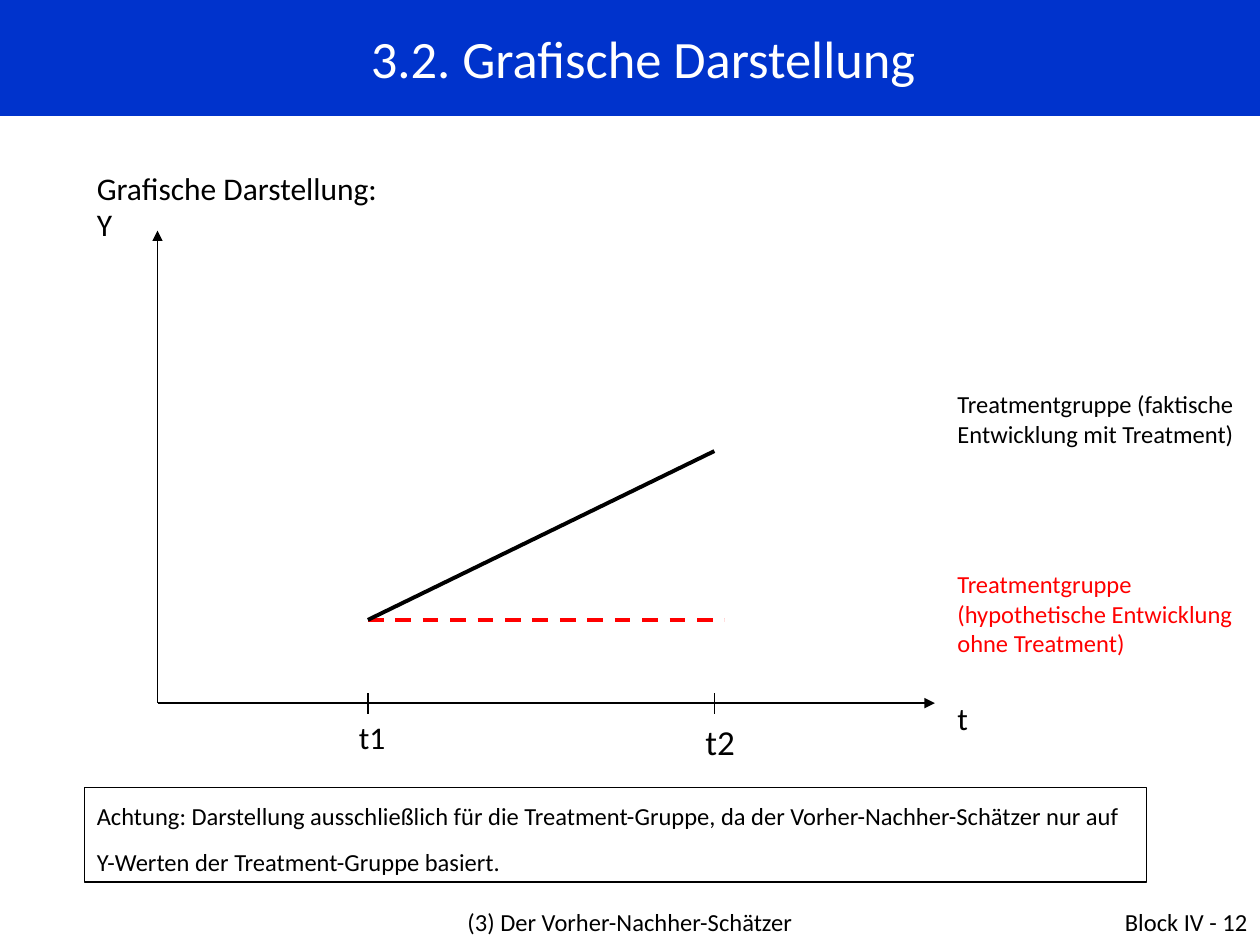
from dataclasses import dataclass

from lxml.etree import SubElement
from pptx import Presentation
from pptx.dml.color import RGBColor
from pptx.enum.dml import MSO_LINE
from pptx.enum.shapes import MSO_CONNECTOR, MSO_SHAPE
from pptx.enum.text import MSO_ANCHOR, PP_ALIGN
from pptx.oxml.ns import qn
from pptx.util import Inches, Pt

FONT = "Calibri"
COLORS = {"black": "000000", "white": "FFFFFF", "blue": "0033CC", "red": "FF0000"}

ORIGIN_X, ORIGIN_Y = 1.25, 5.58
TIME_1, TIME_2 = 2.92, 5.67
START_VALUE, END_VALUE = 4.92, 3.58
LEGEND_LEFT = 7.5


@dataclass
class Label:
    text: str
    left: float
    top: float
    width: float
    height: float
    size: float = 18
    color: str = "black"
    align: PP_ALIGN = PP_ALIGN.LEFT
    line_spacing: float = 1.0


@dataclass
class Line:
    start: tuple[float, float]
    end: tuple[float, float]
    color: str = "black"
    width: float = 0.75
    arrow: bool = False
    dashed: bool = False


def rgb(name: str) -> RGBColor:
    return RGBColor.from_string(COLORS[name])


def add_run(paragraph, text: str, size: float, color: str) -> None:
    run = paragraph.add_run()
    run.text = text
    run.font.name = FONT
    run.font.size = Pt(size)
    run.font.color.rgb = rgb(color)


def add_label(slide, label: Label) -> None:
    shape = slide.shapes.add_textbox(
        Inches(label.left), Inches(label.top), Inches(label.width), Inches(label.height)
    )
    shape.text_frame.word_wrap = True
    paragraph = shape.text_frame.paragraphs[0]
    paragraph.alignment = label.align
    paragraph.line_spacing = label.line_spacing
    add_run(paragraph, label.text, label.size, label.color)


def add_line(slide, line: Line) -> None:
    connector = slide.shapes.add_connector(
        MSO_CONNECTOR.STRAIGHT,
        *(Inches(value) for value in (*line.start, *line.end)),
    )
    connector.line.color.rgb = rgb(line.color)
    connector.line.width = Pt(line.width)
    if line.dashed:
        connector.line.dash_style = MSO_LINE.DASH
    properties = connector._element.spPr
    if line.arrow:
        SubElement(properties.find(qn("a:ln")), qn("a:tailEnd"), type="triangle")
    SubElement(properties, qn("a:effectLst"))


def add_rectangle(slide, left: float, top: float, width: float, height: float):
    shape = slide.shapes.add_shape(
        MSO_SHAPE.RECTANGLE, Inches(left), Inches(top), Inches(width), Inches(height)
    )
    shape.shadow.inherit = False
    shape.text_frame.word_wrap = True
    return shape


def add_title(slide) -> None:
    banner = add_rectangle(slide, 0, 0, 10, 0.92)
    banner.fill.solid()
    banner.fill.fore_color.rgb = rgb("blue")
    banner.line.fill.background()
    banner.text_frame.margin_left = Inches(0.31)
    banner.text_frame.vertical_anchor = MSO_ANCHOR.MIDDLE
    paragraph = banner.text_frame.paragraphs[0]
    paragraph.alignment = PP_ALIGN.CENTER
    add_run(paragraph, "3.2. Grafische Darstellung", 30, "white")


def add_note(slide) -> None:
    note = add_rectangle(slide, 0.67, 6.25, 8.43, 0.75)
    note.fill.background()
    note.line.color.rgb = rgb("black")
    note.line.width = Pt(0.75)
    note.text_frame.vertical_anchor = MSO_ANCHOR.TOP
    paragraph = note.text_frame.paragraphs[0]
    paragraph.alignment = PP_ALIGN.LEFT
    paragraph.line_spacing = 1.25
    text = (
        "Achtung: Darstellung ausschließlich für die Treatment-Gruppe, da der "
        "Vorher-Nachher-Schätzer nur auf Y-Werten der Treatment-Gruppe basiert."
    )
    add_run(paragraph, text, 14, "black")
    add_run(paragraph, " ", 18, "black")


def main() -> None:
    presentation = Presentation()
    presentation.slide_width = Inches(10)
    presentation.slide_height = Inches(7.5)
    slide = presentation.slides.add_slide(presentation.slide_layouts[6])

    origin = (ORIGIN_X, ORIGIN_Y)
    start = (TIME_1, START_VALUE)
    lines = [
        Line(origin, (7.42, ORIGIN_Y), arrow=True),
        Line(origin, (ORIGIN_X, 1.83), arrow=True),
        *(Line((time, 5.5), (time, 5.67)) for time in (TIME_1, TIME_2)),
        Line(start, (5.75, START_VALUE), "red", 2.25, dashed=True),
        Line(start, (TIME_2, END_VALUE), width=2.25),
    ]
    labels = [
        Label("Grafische Darstellung:", 0.67, 1.22, 8.43, 0.48, line_spacing=1.25),
        Label("Y", 0.67, 1.58, 0.5, 0.4),
        Label("t", LEGEND_LEFT, 5.5, 0.5, 0.4),
        Label("t1", 2.75, 5.65, 0.5, 0.4),
        Label("t2", 5.5, 5.67, 0.5, 0.43, 20),
        Label("Treatmentgruppe (hypothetische Entwicklung ohne Treatment)",
              LEGEND_LEFT, 4.47, 2.47, 0.81, 14, "red"),
        Label("Treatmentgruppe (faktische Entwicklung mit Treatment)",
              LEGEND_LEFT, 3.04, 2.42, 0.57, 14),
        Label("Block IV - 12", 7.67, 7.15, 2.33, 0.52, 14, align=PP_ALIGN.RIGHT),
        Label("(3) Der Vorher-Nachher-Schätzer", 2.25, 7.15, 5.5, 0.52, 14,
              align=PP_ALIGN.CENTER),
    ]

    add_title(slide)
    for line in lines:
        add_line(slide, line)
    add_note(slide)
    for label in labels:
        add_label(slide, label)
    presentation.save("out.pptx")


if __name__ == "__main__":
    main()
